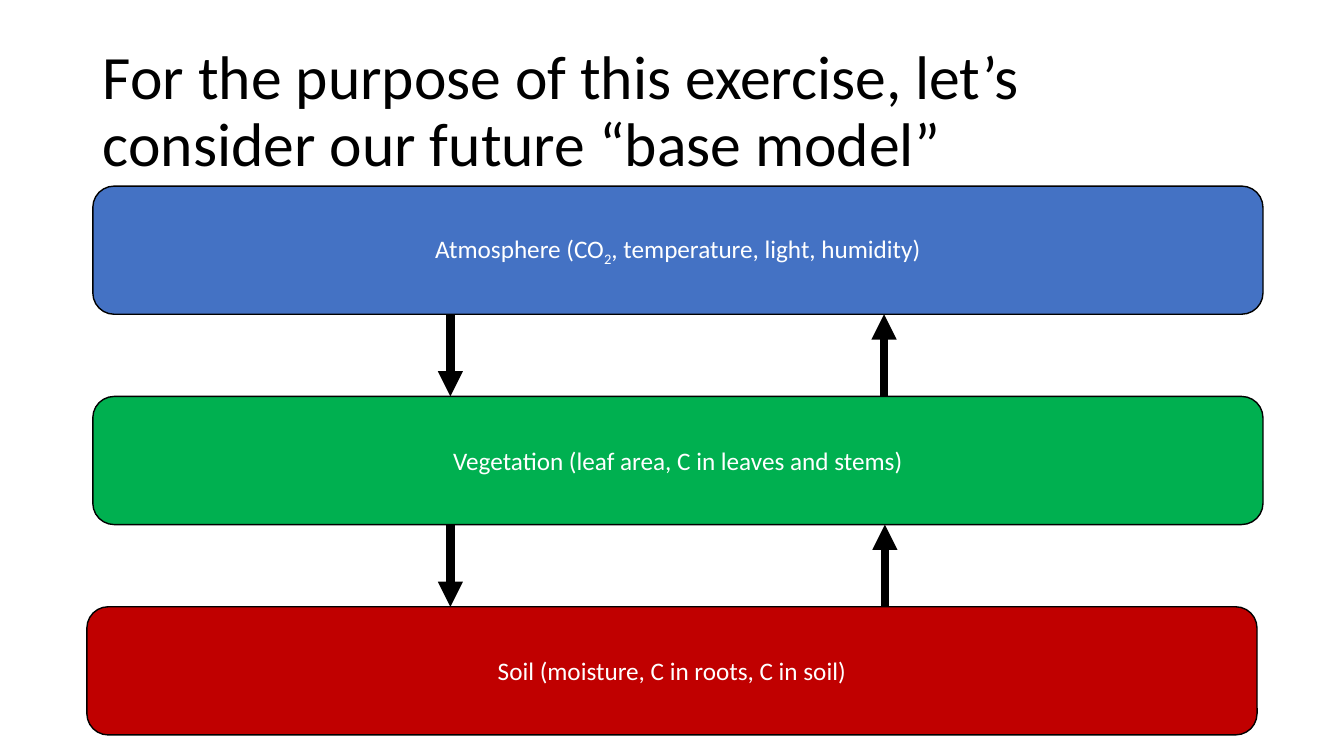
import dataclasses

import lxml.etree
import pptx
import pptx.dml.color
import pptx.enum.shapes
import pptx.enum.text
import pptx.oxml.ns
import pptx.slide
import pptx.text.text
import pptx.util

Cm = pptx.util.Cm
Pt = pptx.util.Pt

FONT = "Calibri"
LAYER_WIDTH, LAYER_HEIGHT = 29.49, 3.23
FIRST_TOP, LAYER_PITCH = 4.69, 5.3
DOWN_X = 11.35


@dataclasses.dataclass(frozen=True)
class Run:
    text: str
    baseline: int = 0


@dataclasses.dataclass(frozen=True)
class Layer:
    left: float
    fill: str
    runs: tuple[Run, ...]


@dataclasses.dataclass(frozen=True)
class Arrow:
    x: float
    start: float
    end: float


LAYERS = (
    Layer(2.34, "4472C4", (
        Run("Atmosphere (CO"),
        Run("2", -25000),
        Run(", temperature, light, humidity)"),
    )),
    Layer(2.34, "00B050", (Run("Vegetation (leaf area, C in leaves and stems)"),)),
    Layer(2.19, "C00000", (Run("Soil (moisture, C in roots, C in soil)"),)),
)
UP_XS = (22.28, 22.3)


def rgb(value: str) -> pptx.dml.color.RGBColor:
    return pptx.dml.color.RGBColor.from_string(value)


def add_run(p: pptx.text.text._Paragraph, run: Run, size: float, color: str) -> None:
    r = p.add_run()
    r.text = run.text
    r.font.name = FONT
    r.font.size = Pt(size)
    r.font.color.rgb = rgb(color)
    if run.baseline:
        r.font._element.set("baseline", str(run.baseline))


def add_title(s: pptx.slide.Slide, text: str) -> None:
    sp = s.shapes.title
    sp.left, sp.top, sp.width, sp.height = Cm(2.34), Cm(1.01), Cm(29.21), Cm(3.68)
    tf = sp.text_frame
    tf.word_wrap = True
    tf.auto_size = pptx.enum.text.MSO_AUTO_SIZE.NONE
    tf.vertical_anchor = pptx.enum.text.MSO_ANCHOR.MIDDLE
    p = tf.paragraphs[0]
    p.alignment = pptx.enum.text.PP_ALIGN.LEFT
    p.line_spacing = 0.9
    add_run(p, Run(text), 44, "000000")


def add_layer(s: pptx.slide.Slide, layer: Layer, top: float) -> None:
    sp = s.shapes.add_shape(
        pptx.enum.shapes.MSO_SHAPE.ROUNDED_RECTANGLE,
        Cm(layer.left), Cm(top), Cm(LAYER_WIDTH), Cm(LAYER_HEIGHT),
    )
    sp.shadow.inherit = False
    sp.fill.solid()
    sp.fill.fore_color.rgb = rgb(layer.fill)
    sp.line.color.rgb = rgb("000000")
    sp.line.width = Pt(1)
    tf = sp.text_frame
    tf.word_wrap = True
    tf.vertical_anchor = pptx.enum.text.MSO_ANCHOR.MIDDLE
    p = tf.paragraphs[0]
    p.alignment = pptx.enum.text.PP_ALIGN.CENTER
    for run in layer.runs:
        add_run(p, run, 18, "FFFFFF")


def add_arrow(s: pptx.slide.Slide, arrow: Arrow) -> None:
    cxn = s.shapes.add_connector(
        pptx.enum.shapes.MSO_CONNECTOR.STRAIGHT,
        Cm(arrow.x), Cm(arrow.start), Cm(arrow.x), Cm(arrow.end),
    )
    cxn.line.color.rgb = rgb("000000")
    cxn.line.width = Pt(6)
    qn = pptx.oxml.ns.qn
    lxml.etree.SubElement(cxn.line._get_or_add_ln(), qn("a:tailEnd"), type="triangle")
    lxml.etree.SubElement(cxn._element.spPr, qn("a:effectLst"))


def main() -> None:
    prs = pptx.Presentation()
    prs.slide_width, prs.slide_height = Cm(33.87), Cm(19.05)
    s = prs.slides.add_slide(prs.slide_layouts[5])
    add_title(s, "For the purpose of this exercise, let’s consider our future “base model”")
    for i, layer in enumerate(LAYERS):
        add_layer(s, layer, FIRST_TOP + i * LAYER_PITCH)
    for i, up_x in enumerate(UP_XS):
        upper = FIRST_TOP + i * LAYER_PITCH + LAYER_HEIGHT
        lower = FIRST_TOP + (i + 1) * LAYER_PITCH
        add_arrow(s, Arrow(DOWN_X, upper, lower))
        add_arrow(s, Arrow(up_x, lower, upper))
    prs.save("out.pptx")


if __name__ == "__main__":
    main()
